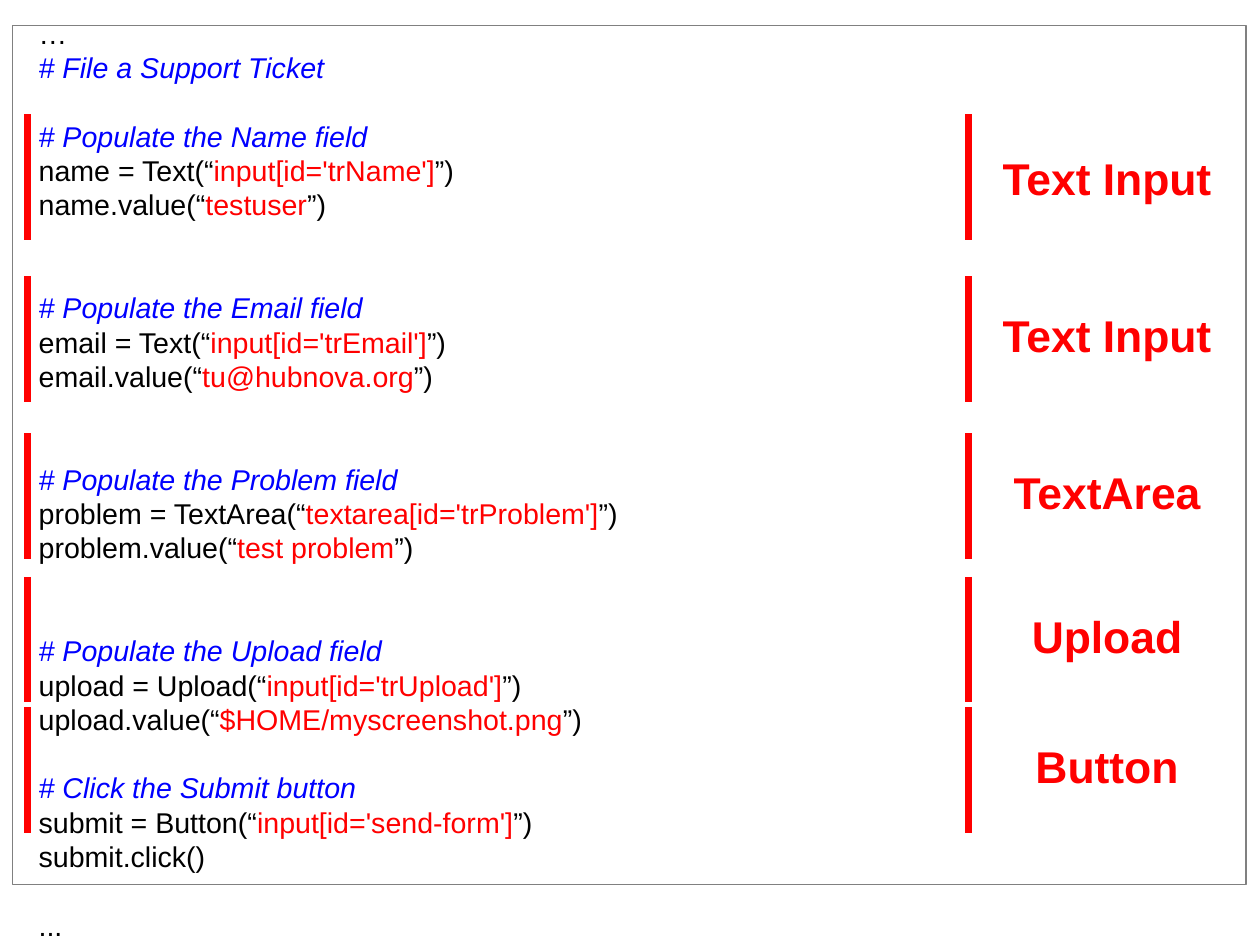
import pptx
import pptx.dml.color
import pptx.enum.shapes
import pptx.enum.text
import pptx.oxml.ns
import pptx.util
from lxml import etree

Cm = pptx.util.Cm
Pt = pptx.util.Pt
RGBColor = pptx.dml.color.RGBColor

BLACK = RGBColor(0x00, 0x00, 0x00)
BLUE = RGBColor(0x00, 0x00, 0xFF)
RED = RGBColor(0xFF, 0x00, 0x00)
WHITE = RGBColor(0xFF, 0xFF, 0xFF)
GRAY = RGBColor(0x80, 0x80, 0x80)

FONT = "Arial"
LINE_PITCH = 21.6
BAR_LEFTS = (0.62, 21.52)
BAR_HEIGHT = 2.79

CODE = [
    (0, "…"),
    (0, "# File a Support Ticket"),
    (1, "# Populate the Name field"),
    (0, "name = Text(“input[id='trName']”)"),
    (0, "name.value(“testuser”)"),
    (2, "# Populate the Email field"),
    (0, "email = Text(“input[id='trEmail']”)"),
    (0, "email.value(“tu@hubnova.org”)"),
    (2, "# Populate the Problem field"),
    (0, "problem = TextArea(“textarea[id='trProblem']”)"),
    (0, "problem.value(“test problem”)"),
    (2, "# Populate the Upload field"),
    (0, "upload = Upload(“input[id='trUpload']”)"),
    (0, "upload.value(“$HOME/myscreenshot.png”)"),
    (1, "# Click the Submit button"),
    (0, "submit = Button(“input[id='send-form']”)"),
    (0, "submit.click()"),
    (1, "..."),
]

WIDGETS = [
    ("Text Input", 2.54, 3.23),
    ("Text Input", 6.14, 6.73),
    ("TextArea", 9.63, 10.21),
    ("Upload", 12.82, 13.41),
    ("Button", 15.71, 16.31),
]


def add_frame(slide):
    shape = slide.shapes.add_shape(
        pptx.enum.shapes.MSO_SHAPE.RECTANGLE, Cm(0.28), Cm(0.56), Cm(27.41), Cm(19.1))
    shape.shadow.inherit = False
    shape.fill.solid()
    shape.fill.fore_color.rgb = WHITE
    shape.line.color.rgb = GRAY
    shape.line.width = Pt(0)


def add_text_frame(slide, left, top, width, height):
    text_frame = slide.shapes.add_textbox(Cm(left), Cm(top), Cm(width), Cm(height)).text_frame
    text_frame.word_wrap = True
    return text_frame


def set_font(font, size, color):
    font.name = FONT
    font.size = Pt(size)
    font.color.rgb = color


def add_code_runs(paragraph, line):
    before, opening, rest = line.partition("“")
    quoted, closing, after = rest.partition("”")
    for text, color in ((before + opening, BLACK), (quoted, RED), (closing + after, BLACK)):
        if text:
            run = paragraph.add_run()
            run.text = text
            run.font.color.rgb = color


def add_code(slide):
    text_frame = add_text_frame(slide, 0.61, 0.23, 27.08, 19.46)
    for index, (gap_lines, line) in enumerate(CODE):
        paragraph = text_frame.add_paragraph() if index else text_frame.paragraphs[0]
        paragraph.line_spacing = Pt(LINE_PITCH)
        paragraph.space_before = Pt(gap_lines * LINE_PITCH)
        is_comment = line.startswith("#")
        set_font(paragraph.font, 18, BLUE if is_comment else BLACK)
        paragraph.font.italic = is_comment
        if is_comment:
            paragraph.add_run().text = line
        else:
            add_code_runs(paragraph, line)


def add_bar(slide, left, top):
    connector = slide.shapes.add_connector(
        pptx.enum.shapes.MSO_CONNECTOR.STRAIGHT,
        Cm(left), Cm(top), Cm(left), Cm(top + BAR_HEIGHT))
    connector.line.color.rgb = RED
    connector.line.width = Pt(4.31)
    etree.SubElement(connector._element.spPr, pptx.oxml.ns.qn("a:effectLst"))


def add_label(slide, text, top):
    paragraph = add_text_frame(slide, 21.8, top, 5.6, 1.35).paragraphs[0]
    paragraph.text = text
    paragraph.alignment = pptx.enum.text.PP_ALIGN.CENTER
    set_font(paragraph.font, 28, RED)
    paragraph.font.bold = True


def main():
    presentation = pptx.Presentation()
    presentation.slide_width = Cm(28)
    presentation.slide_height = Cm(21)
    slide = presentation.slides.add_slide(presentation.slide_layouts[6])
    add_frame(slide)
    add_code(slide)
    for text, bar_top, label_top in WIDGETS:
        for bar_left in BAR_LEFTS:
            add_bar(slide, bar_left, bar_top)
        add_label(slide, text, label_top)
    presentation.save("out.pptx")


main()
